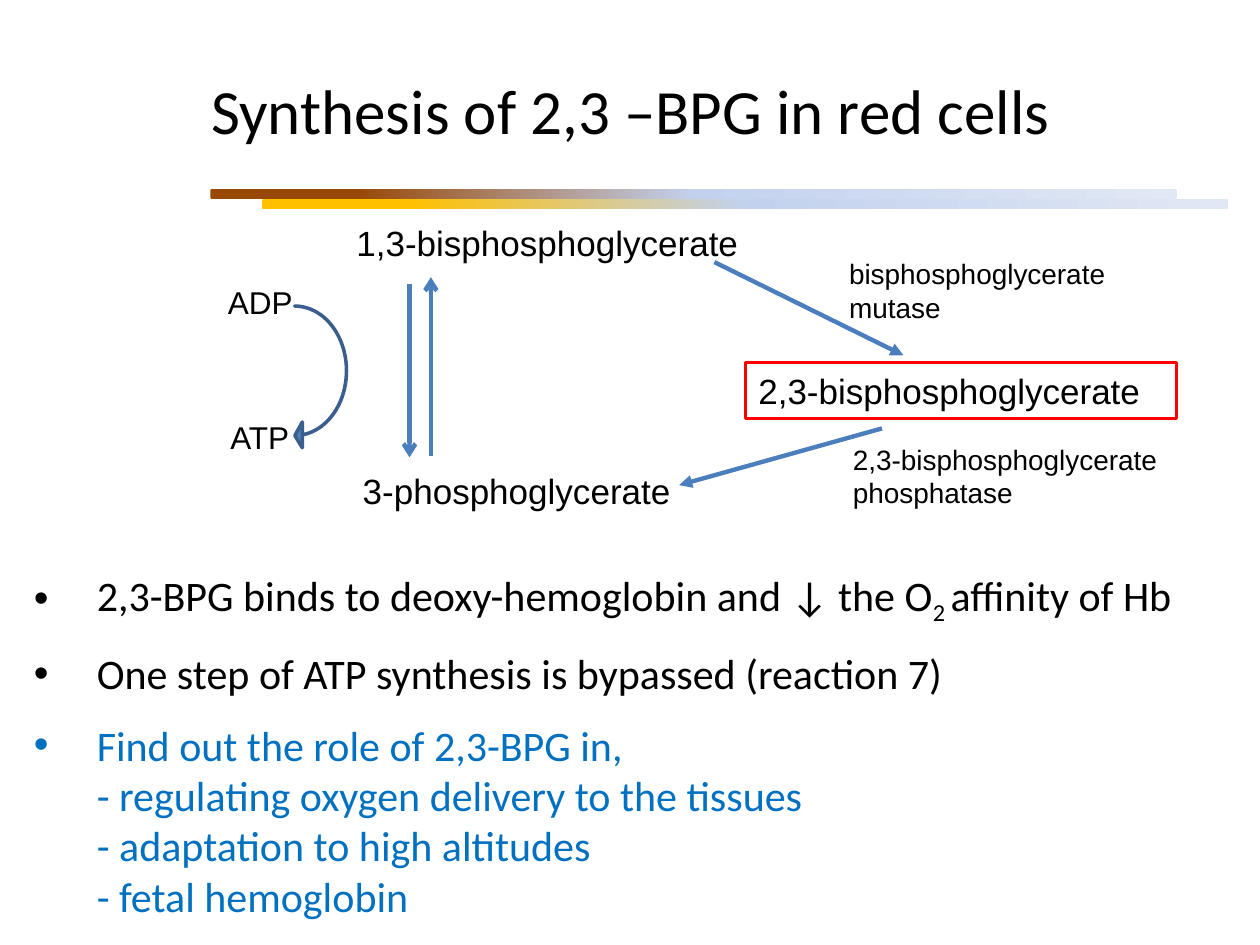
from copy import deepcopy

from pptx import Presentation
from pptx.dml.color import RGBColor
from pptx.enum.shapes import MSO_CONNECTOR as CONN, MSO_SHAPE as SHAPE
from pptx.enum.text import MSO_ANCHOR as ANCHOR, MSO_AUTO_SIZE as AUTO, PP_ALIGN as ALIGN
from pptx.oxml.ns import qn
from pptx.util import Inches, Pt
from lxml.etree import SubElement

BLACK = RGBColor(0x00, 0x00, 0x00)
BLUE = RGBColor(0x00, 0x70, 0xC0)
RED = RGBColor(0xFF, 0x00, 0x00)
ARROW = RGBColor(0x4B, 0x7E, 0xBC)
CURVE_FILL = RGBColor(0x4F, 0x81, 0xBD)
CURVE_LINE = RGBColor(0x3A, 0x5F, 0x8C)
BROWN = RGBColor(0x98, 0x48, 0x07)
GOLD = RGBColor(0xFF, 0xC0, 0x00)
PALE = RGBColor(0xC2, 0xD1, 0xED)
PALEST = RGBColor(0xE1, 0xE8, 0xF5)


class Deck:
    body_font = "Calibri"
    label_font = "Arial"

    def __init__(self, prs):
        self.s = prs.slides.add_slide(prs.slide_layouts[5])

    def style(self, r, name, size, color=BLACK):
        for key, value in {"name": name, "size": Pt(size)}.items():
            setattr(r.font, key, value)
        r.font.color.rgb = color

    def frame(self, sp, **values):
        for key, value in values.items():
            setattr(sp.text_frame, key, value)
        return sp.text_frame

    def title(self, text, *box):
        sp = self.s.shapes.title
        sp.left, sp.top, sp.width, sp.height = map(Inches, box)
        tf = self.frame(sp, vertical_anchor=ANCHOR.MIDDLE, word_wrap=True, auto_size=AUTO.NONE)
        p = tf.paragraphs[0]
        p.alignment = ALIGN.CENTER
        r = p.add_run()
        r.text = text
        self.style(r, self.body_font, 36)

    def shape(self, kind, *box):
        sp = self.s.shapes.add_shape(kind, *map(Inches, box))
        sp.shadow.inherit = False
        return sp

    def gradient_bar(self, color, *box):
        sp = self.shape(SHAPE.ROUNDED_RECTANGLE, *box)
        sp.line.fill.background()
        sp.fill.gradient()
        sp.fill.gradient_angle = 0
        stops = sp._element.spPr.find(qn("a:gradFill")).find(qn("a:gsLst"))
        stops.append(deepcopy(stops[-1]))
        values = zip((0.15, 0.5, 1), (color, PALE, PALEST))
        for stop, (position, rgb) in zip(sp.fill.gradient_stops, values):
            stop.position = position
            stop.color.rgb = rgb

    def label(self, text, size, *box, border=None):
        if border is None:
            sp = self.s.shapes.add_textbox(*map(Inches, box))
        else:
            sp = self.shape(SHAPE.RECTANGLE, *box)
            sp.fill.background()
            sp.line.color.rgb = border
            sp.line.width = Pt(1.75)
        tf = self.frame(sp, word_wrap=True, auto_size=AUTO.SHAPE_TO_FIT_TEXT,
                        vertical_anchor=ANCHOR.TOP)
        p = tf.paragraphs[0]
        p.alignment = ALIGN.LEFT
        r = p.add_run()
        r.text = text
        self.style(r, self.label_font, size)

    def arrow(self, head, *ends):
        c = self.s.shapes.add_connector(CONN.STRAIGHT, *map(Inches, ends))
        c.line.color.rgb = ARROW
        c.line.width = Pt(2.5)
        SubElement(c.line._get_or_add_ln(), qn("a:tailEnd"), type=head)
        SubElement(c._element.spPr, qn("a:effectLst"))

    def curved_arrow(self, *box):
        sp = self.shape(SHAPE.CURVED_LEFT_ARROW, *box)
        for i, value in enumerate((0, 0.5, 0.145)):
            sp.adjustments[i] = value
        sp.fill.solid()
        sp.fill.fore_color.rgb = CURVE_FILL
        sp.line.color.rgb = CURVE_LINE
        sp.line.width = Pt(2)

    def bullets(self, items, *box):
        sp = self.s.shapes.add_textbox(*map(Inches, box))
        tf = self.frame(sp, word_wrap=True, auto_size=AUTO.SHAPE_TO_FIT_TEXT)
        for i, (runs, color, bulleted, after) in enumerate(items):
            p = tf.paragraphs[0] if i == 0 else tf.add_paragraph()
            pPr = p._p.get_or_add_pPr()
            pPr.set("marL", str(Inches(0.5)))
            pPr.set("indent", str(Inches(-0.5 if bulleted else 0)))
            if bulleted:
                SubElement(pPr, qn("a:buFont"), typeface=self.label_font)
                SubElement(pPr, qn("a:buChar"), char="•")
            p.space_after = Pt(after)
            for text, baseline in runs:
                r = p.add_run()
                r.text = text
                self.style(r, self.body_font, 24, color)
                if baseline:
                    r.font._element.set("baseline", str(baseline * 1000))


def main():
    prs = Presentation()
    prs.slide_width, prs.slide_height = Inches(10), Inches(7.5)
    d = Deck(prs)

    d.gradient_bar(BROWN, 1.67, 1.5, 7.67, 0.08)
    d.gradient_bar(GOLD, 2.08, 1.58, 7.67, 0.08)
    d.bullets([
        ([("2,3-BPG binds to deoxy-hemoglobin and ↓ the O", 0), ("2 ", -25),
          ("affinity of Hb", 0)], BLACK, True, 12),
        ([("One step of ATP synthesis is bypassed (reaction 7)", 0)], BLACK, True, 12),
        ([("Find out the role of 2,3-BPG in,", 0)], BLUE, True, 0),
        ([("- regulating oxygen delivery to the tissues", 0)], BLUE, False, 0),
        ([("- adaptation to high altitudes", 0)], BLUE, False, 0),
        ([("- fetal hemoglobin", 0)], BLUE, False, 0),
    ], 0.17, 4.47, 9.67, 2.86)
    d.title("Synthesis of 2,3 –BPG in red cells", 0.92, 0.24, 8.17, 1.25)

    d.label("1,3-bisphosphoglycerate", 20, 2.73, 1.71, 3.42, 0.44)
    d.label("2,3-bisphosphoglycerate", 20, 5.92, 2.88, 3.42, 0.44, border=RED)
    d.label("3-phosphoglycerate", 20, 2.78, 3.68, 3.42, 0.44)

    d.arrow("triangle", 5.67, 2.08, 7.17, 2.82)
    d.arrow("triangle", 7, 3.4, 5.39, 3.85)
    d.arrow("arrow", 3.25, 2.25, 3.25, 3.63)
    d.arrow("arrow", 3.42, 3.62, 3.42, 2.2)
    d.curved_arrow(2.34, 2.43, 0.41, 1.13)

    d.label("ADP", 18, 1.71, 2.2, 0.77, 0.4)
    d.label("ATP", 18, 1.73, 3.27, 0.77, 0.4)
    d.label("bisphosphoglycerate mutase", 16, 6.64, 1.99, 3, 0.64)
    d.label("2,3-bisphosphoglycerate phosphatase", 16, 6.67, 3.46, 3, 0.64)

    prs.save("out.pptx")


if __name__ == "__main__":
    main()
